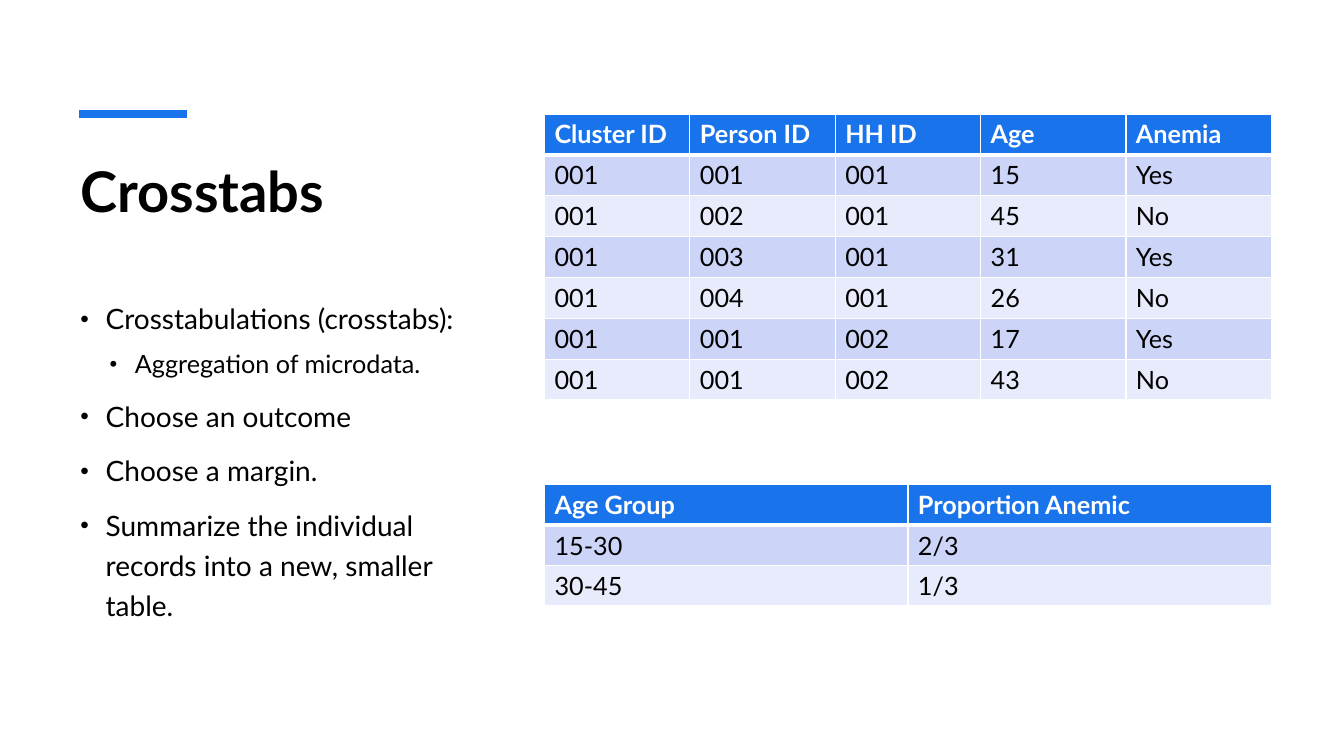
from dataclasses import dataclass

from lxml import etree
from pptx import Presentation
from pptx import util as u
from pptx.dml.color import RGBColor
from pptx.enum import shapes, text
from pptx.oxml import ns

COLOURS = {"accent": "1973EB", "ink": "000000", "paper": "FFFFFF",
           "band_dark": "CCD5F7", "band_light": "E8EBFB"}
FONT = "Lato"
WIDTH, HEIGHT = u.Inches(13.33), u.Inches(7.5)


@dataclass(frozen=True)
class Area:
    """A rectangle in percent of the slide's width and height."""
    left: float
    top: float
    width: float
    height: float

    def lengths(self) -> tuple[int, int, int, int]:
        return (across(self.left), down(self.top),
                across(self.width), down(self.height))


@dataclass(frozen=True)
class Bullet:
    words: str
    size: int = 20
    indent: float = 0.25
    before: int = 10
    level: int = 0


@dataclass(frozen=True)
class Grid:
    area: Area
    rows: list[list[str]]


def across(percent: float) -> int:
    return round(WIDTH * percent / 100)


def down(percent: float) -> int:
    return round(HEIGHT * percent / 100)


def colour(name: str) -> RGBColor:
    return RGBColor.from_string(COLOURS[name])


def add_span(para, words: str, size: int, ink: str = "ink", bold: bool = False) -> None:
    span = para.add_run()
    span.text = words
    span.font.name, span.font.size, span.font.bold = FONT, u.Pt(size), bold
    span.font.color.rgb = colour(ink)


def add_box(page, area: Area):
    frame = page.shapes.add_textbox(*area.lengths()).text_frame
    frame.word_wrap = True
    frame.vertical_anchor = text.MSO_ANCHOR.TOP
    return frame


def add_bullet(para, bullet: Bullet) -> None:
    para.level = bullet.level
    para.line_spacing = 1.2
    para.space_before = u.Pt(bullet.before)
    props = para._p.get_or_add_pPr()
    props.set("marL", str(u.Inches(bullet.indent)))
    props.set("indent", str(-u.Inches(0.25)))
    for tag, key, value in (("a:buSzPct", "val", "87000"),
                            ("a:buFont", "typeface", "Arial"),
                            ("a:buChar", "char", "•")):
        etree.SubElement(props, ns.qn(tag)).set(key, value)
    add_span(para, bullet.words, bullet.size)


def add_borders(cell, bottom: float) -> None:
    props = cell._tc.get_or_add_tcPr()
    sides = {"a:lnL": 1, "a:lnR": 1, "a:lnT": 1, "a:lnB": bottom}
    for place, (tag, points) in enumerate(sides.items()):
        line = etree.Element(ns.qn(tag), w=str(u.Pt(points)))
        fill = etree.SubElement(line, ns.qn("a:solidFill"))
        etree.SubElement(fill, ns.qn("a:srgbClr")).set("val", COLOURS["paper"])
        props.insert(place, line)


def add_grid(page, grid: Grid) -> None:
    table = page.shapes.add_table(len(grid.rows), len(grid.rows[0]),
                                  *grid.area.lengths()).table
    for row, entries in enumerate(grid.rows):
        heading = row == 0
        band = "accent" if heading else "band_dark" if row % 2 else "band_light"
        for column, words in enumerate(entries):
            cell = table.cell(row, column)
            cell.fill.solid()
            cell.fill.fore_color.rgb = colour(band)
            add_borders(cell, 3 if heading else 1)
            add_span(cell.text_frame.paragraphs[0], words, 18,
                     "paper" if heading else "ink", heading)


BULLETS = [
    Bullet("Crosstabulations (crosstabs):"),
    Bullet("Aggregation of microdata.", 18, 0.54, 5, 1),
    Bullet("Choose an outcome"),
    Bullet("Choose a margin."),
    Bullet("Summarize the individual records into a new, smaller table."),
]
MICRODATA = Grid(Area(40.51, 15.07, 54.09, 37.87), [
    ["Cluster ID", "Person ID", "HH ID", "Age", "Anemia"],
    ["001", "001", "001", "15", "Yes"],
    ["001", "002", "001", "45", "No"],
    ["001", "003", "001", "31", "Yes"],
    ["001", "004", "001", "26", "No"],
    ["001", "001", "002", "17", "Yes"],
    ["001", "001", "002", "43", "No"],
])
SUMMARY = Grid(Area(40.51, 64.13, 54.09, 16), [
    ["Age Group", "Proportion Anemic"],
    ["15-30", "2/3"],
    ["30-45", "1/3"],
])


def main() -> None:
    deck = Presentation()
    deck.slide_width, deck.slide_height = WIDTH, HEIGHT
    page = deck.slides.add_slide(deck.slide_layouts[6])

    # Accent line above the title
    accent = page.shapes.add_connector(
        shapes.MSO_CONNECTOR.STRAIGHT,
        across(5.89), down(15.07), across(13.88), down(15.07))
    accent.line.color.rgb = colour("accent")
    accent.line.width = u.Pt(6)
    etree.SubElement(accent._element.spPr, ns.qn("a:effectLst"))

    # Title
    title = add_box(page, Area(5.25, 20, 31.58, 16))
    add_span(title.paragraphs[0], "Crosstabs", 40, bold=True)

    # Bullets
    body = add_box(page, Area(5.25, 38.4, 31.58, 52))
    for number, bullet in enumerate(BULLETS):
        add_bullet(body.add_paragraph() if number else body.paragraphs[0], bullet)

    # Tables
    for grid in (MICRODATA, SUMMARY):
        add_grid(page, grid)

    deck.save("out.pptx")


if __name__ == "__main__":
    main()
